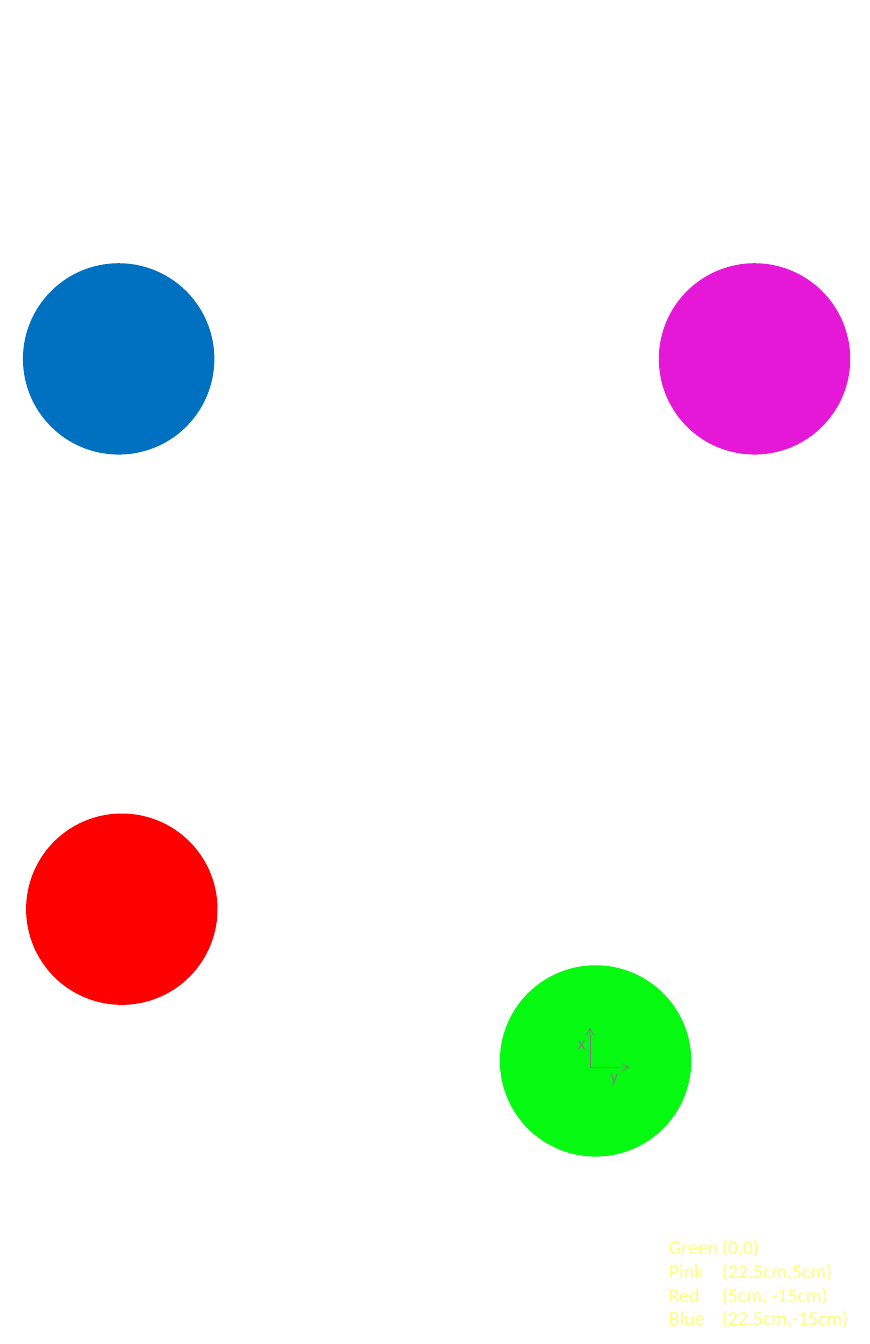
"""Build a slide of four coloured target discs with axes and a coordinate legend."""
from lxml.etree import SubElement
from pptx import Presentation
from pptx.dml.color import RGBColor
from pptx.enum.shapes import MSO_CONNECTOR as Connector, MSO_SHAPE as Shape
from pptx.enum.text import MSO_AUTO_SIZE as AutoSize
from pptx.oxml.ns import qn
from pptx.util import Inches, Pt

DISC_SIZE = 2.42
DISCS = [
    (6.32, 12.21, "05F911"),
    (8.33, 3.33, "E618D7"),
    (0.29, 3.33, "0070C0"),
    (0.33, 10.29, "FF0000"),
]
ORIGIN = (7.46, 13.5)
AXIS_LENGTH = 0.5
AXES = [("x", (0, -1), (7.21, 13)), ("y", (1, 0), (7.62, 13.42))]
LABEL_SIZE = (0.3, 0.37)
LEGEND_BOX = (8.36, 15.57, 2.56, 1.31)
LEGEND_TAB = 0.67
LEGEND = [
    ("Green", "(0,0)"),
    ("Pink", "(22.5cm,5cm)"),
    ("Red", "(5cm, -15cm)"),
    ("Blue", "(22.5cm,-15cm)"),
]
AXIS_COLOR = "808080"
AXIS_FONT = {"name": "Calibri", "size": Pt(16)}
LEGEND_FONT = {"name": "Calibri", "size": Pt(18)}


def paint(color_format, color):
    color_format.rgb = RGBColor.from_string(color)


def add_disc(shapes, left, top, color):
    disc = shapes.add_shape(Shape.OVAL, *map(Inches, (left, top, DISC_SIZE, DISC_SIZE)))
    disc.shadow.inherit = False
    disc.fill.solid()
    paint(disc.fill.fore_color, color)
    disc.line.fill.background()


def add_axis(shapes, direction):
    tip = [start + AXIS_LENGTH * step for start, step in zip(ORIGIN, direction)]
    axis = shapes.add_connector(Connector.STRAIGHT, *map(Inches, (*ORIGIN, *tip)))
    axis.line.width = Pt(0.75)
    paint(axis.line.color, AXIS_COLOR)
    SubElement(axis.line._get_or_add_ln(), qn("a:tailEnd"), type="arrow")
    SubElement(axis._element.spPr, qn("a:effectLst"))


def add_text(shapes, bounds, lines, style, color, tab=None):
    box = shapes.add_textbox(*map(Inches, bounds))
    frame = box.text_frame
    frame.word_wrap = False
    frame.auto_size = AutoSize.SHAPE_TO_FIT_TEXT
    for index, line in enumerate(lines):
        para = frame.add_paragraph() if index else frame.paragraphs[0]
        if tab:
            stops = SubElement(para._p.get_or_add_pPr(), qn("a:tabLst"))
            SubElement(stops, qn("a:tab"), pos=str(Inches(tab)), algn="l")
        span = para.add_run()
        span.text = line
        for name, value in style.items():
            setattr(span.font, name, value)
        paint(span.font.color, color)


def main():
    deck = Presentation()
    deck.slide_width, deck.slide_height = Inches(11), Inches(17)
    page = deck.slides.add_slide(deck.slide_layouts[6])

    targets = page.shapes.add_group_shape()
    for disc in DISCS:
        add_disc(targets.shapes, *disc)

    axes = page.shapes.add_group_shape()
    for label, direction, corner in AXES:
        add_axis(axes.shapes, direction)
        add_text(axes.shapes, (*corner, *LABEL_SIZE), [label], AXIS_FONT, AXIS_COLOR)

    lines = ["\t".join(row) for row in LEGEND]
    add_text(page.shapes, LEGEND_BOX, lines, LEGEND_FONT, "FFFF75", LEGEND_TAB)
    deck.save("out.pptx")


if __name__ == "__main__":
    main()
